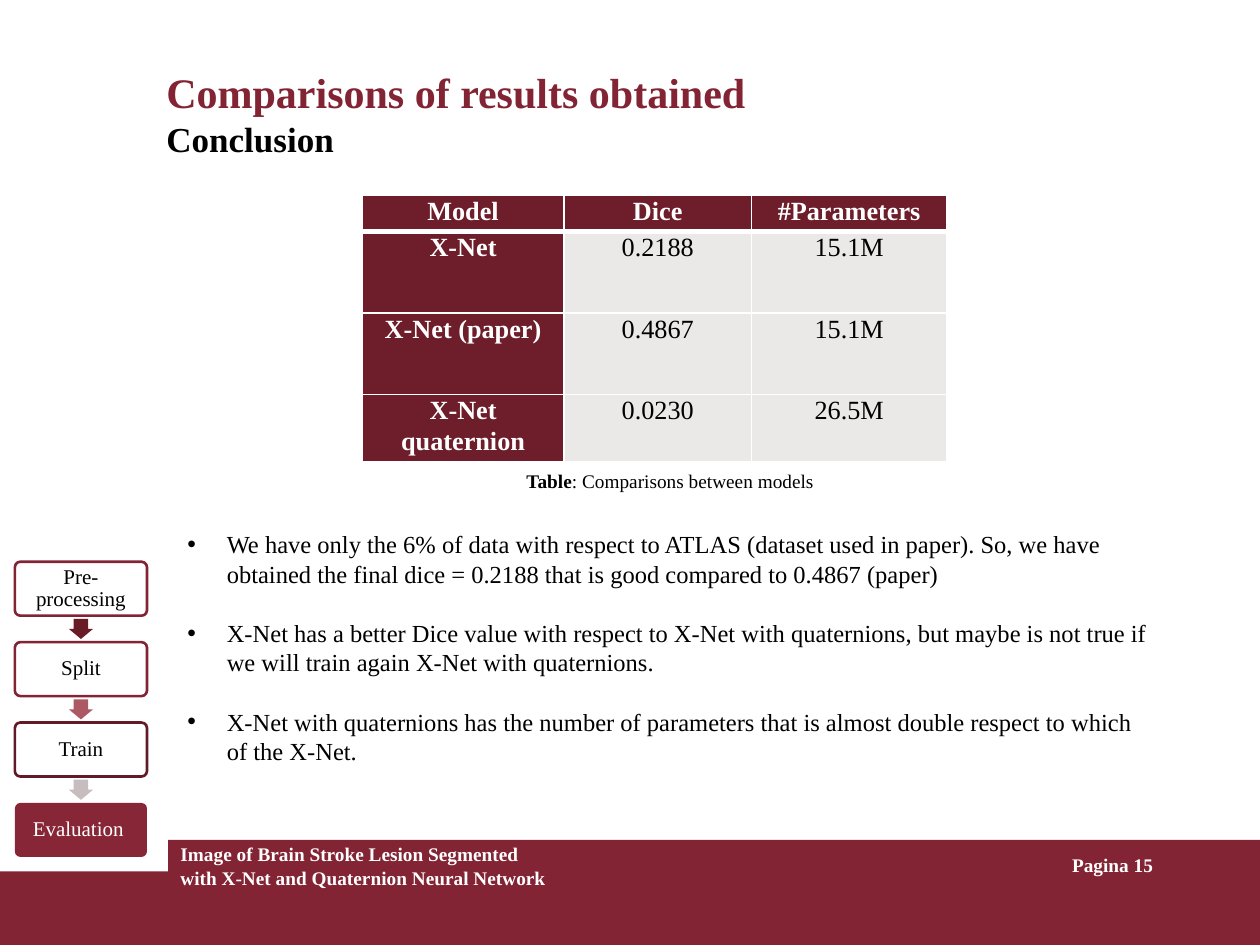
from dataclasses import dataclass
from typing import Optional

from lxml import etree
from pptx import Presentation
from pptx.dml.color import RGBColor
from pptx.enum.shapes import MSO_SHAPE
from pptx.enum.text import MSO_ANCHOR, PP_ALIGN
from pptx.oxml.ns import qn
from pptx.util import Pt

RECT, ROUNDED, ARROW = MSO_SHAPE.RECTANGLE, MSO_SHAPE.ROUNDED_RECTANGLE, MSO_SHAPE.RIGHT_ARROW
LEFT, CENTER, RIGHT = PP_ALIGN.LEFT, PP_ALIGN.CENTER, PP_ALIGN.RIGHT
TOP, MIDDLE = MSO_ANCHOR.TOP, MSO_ANCHOR.MIDDLE

FONT = "Times New Roman"
WHITE = RGBColor(0xFF, 0xFF, 0xFF)
BLACK = RGBColor(0x00, 0x00, 0x00)
MAROON = RGBColor(0x82, 0x24, 0x33)
TABLE_MAROON = RGBColor(0x6E, 0x1D, 0x2A)
TABLE_GREY = RGBColor(0xEB, 0xE8, 0xE8)
TRAIN_LINE = RGBColor(0x61, 0x1B, 0x26)
ACTIVE_STEP = RGBColor(0x87, 0x26, 0x36)
ARROW_DARK = RGBColor(0x69, 0x1C, 0x28)
ARROW_ROSE = RGBColor(0xAC, 0x59, 0x63)
ARROW_PALE = RGBColor(0xC8, 0xBD, 0xBE)


@dataclass
class Box:
    left: float
    top: float
    width: float
    height: float

    def lengths(self) -> tuple:
        return Pt(self.left), Pt(self.top), Pt(self.width), Pt(self.height)


@dataclass
class Step:
    label: str
    fill: RGBColor
    line: Optional[RGBColor]
    text_color: RGBColor
    arrow: Optional[RGBColor]


STEPS = [
    Step("Pre-processing", WHITE, MAROON, BLACK, ARROW_DARK),
    Step("Split", WHITE, MAROON, BLACK, ARROW_ROSE),
    Step("Train", WHITE, TRAIN_LINE, BLACK, ARROW_PALE),
    Step("Evaluation ", ACTIVE_STEP, None, WHITE, None),
]
RESULTS = [
    ("Model", "Dice", "#Parameters"),
    ("X-Net", "0.2188", "15.1M"),
    ("X-Net (paper)", "0.4867", "15.1M"),
    ("X-Net quaternion", "0.0230", "26.5M"),
]
COLUMN_WIDTHS = (115.2, 107.3, 111.5)
ROW_HEIGHTS = (20.9, 46.5, 46.5, 37.7)
CONCLUSIONS = [
    "We have only the 6% of data with respect to ATLAS (dataset used in paper). "
    "So, we have obtained the final dice = 0.2188 that is good compared to 0.4867 (paper)",
    "X-Net has a better Dice value with respect to X-Net with quaternions, "
    "but maybe is not true if we will train again X-Net with quaternions.",
    "X-Net with quaternions has the number of parameters that is almost double "
    "respect to which of the X-Net.",
]


def write(paragraph, text: str, *, size: float, color: RGBColor = BLACK, bold: bool = False,
          align=LEFT, spacing: Optional[float] = None, after: Optional[float] = None) -> None:
    """Append a formatted run to the paragraph."""
    paragraph.alignment = align
    if spacing is not None:
        paragraph.line_spacing = spacing
    if after is not None:
        paragraph.space_after = Pt(after)
    run = paragraph.add_run()
    run.text = text
    run.font.name, run.font.size, run.font.bold = FONT, Pt(size), bold
    run.font.color.rgb = color


def add_text_frame(slide, box: Box, *, anchor=TOP, inset: Optional[float] = None):
    frame = slide.shapes.add_textbox(*box.lengths()).text_frame
    frame.word_wrap = True
    frame.vertical_anchor = anchor
    if inset is not None:
        frame.margin_left = frame.margin_right = Pt(inset)
        frame.margin_top = frame.margin_bottom = Pt(inset)
    return frame


def add_label(slide, box: Box, text: str, *, anchor=TOP, inset: Optional[float] = None,
              **text_format) -> None:
    frame = add_text_frame(slide, box, anchor=anchor, inset=inset)
    write(frame.paragraphs[0], text, **text_format)


def add_block(slide, kind, box: Box, fill: RGBColor, line: Optional[RGBColor] = None):
    block = slide.shapes.add_shape(kind, *box.lengths())
    block.shadow.inherit = False
    block.fill.solid()
    block.fill.fore_color.rgb = fill
    if line is None:
        block.line.fill.background()
    else:
        block.line.color.rgb = line
        block.line.width = Pt(1.5)
    return block


def add_bullet(paragraph, indent: float) -> None:
    properties = paragraph._p.get_or_add_pPr()
    properties.set("marL", str(Pt(indent)))
    properties.set("indent", str(-Pt(indent)))
    etree.SubElement(properties, qn("a:buFont"), typeface="Arial")
    etree.SubElement(properties, qn("a:buChar"), char="•")


def set_borders(cell, bottom: float) -> None:
    properties = cell._tc.get_or_add_tcPr()
    widths = {"a:lnL": 1, "a:lnR": 1, "a:lnT": 1, "a:lnB": bottom}
    for position, (side, width) in enumerate(widths.items()):
        border = etree.Element(qn(side), w=str(Pt(width)))
        fill = etree.SubElement(border, qn("a:solidFill"))
        etree.SubElement(fill, qn("a:srgbClr"), val=str(WHITE))
        properties.insert(position, border)


def add_results_table(slide, box: Box) -> None:
    table = slide.shapes.add_table(len(RESULTS), len(COLUMN_WIDTHS), *box.lengths()).table
    table.first_row = table.horz_banding = False
    for column, width in zip(table.columns, COLUMN_WIDTHS):
        column.width = Pt(width)
    for row, height in zip(table.rows, ROW_HEIGHTS):
        row.height = Pt(height)
    for r, values in enumerate(RESULTS):
        for c, value in enumerate(values):
            cell = table.cell(r, c)
            heading = r == 0 or c == 0
            cell.margin_left = cell.margin_right = Pt(5)
            cell.margin_top = cell.margin_bottom = Pt(0)
            cell.fill.solid()
            cell.fill.fore_color.rgb = TABLE_MAROON if heading else TABLE_GREY
            set_borders(cell, bottom=3 if r == 0 else 1)
            write(cell.text_frame.paragraphs[0], value, size=15, bold=heading, align=CENTER,
                  color=WHITE if heading else BLACK, spacing=1.07, after=8)


def add_step(slide, step: Step, top: float) -> None:
    block = add_block(slide, ROUNDED, Box(8.5, top, 75.5, 30.8), step.fill, step.line)
    block.adjustments[0] = 0.1
    add_label(slide, Box(9.5, top + 0.9, 73.5, 29), step.label, anchor=MIDDLE, inset=3.6,
              size=12, color=step.text_color, align=CENTER, spacing=0.9)
    if step.arrow is not None:
        arrow = add_block(slide, ARROW, Box(40.5, top + 31.5, 11.5, 13.8), step.arrow)
        arrow.rotation = 90
        arrow.adjustments[0], arrow.adjustments[1] = 0.6, 0.5


def main() -> None:
    deck = Presentation()
    deck.slide_width, deck.slide_height = Pt(720), Pt(540)
    slide = deck.slides.add_slide(deck.slide_layouts[6])

    # Footer band
    add_block(slide, RECT, Box(0, 498, 720, 42), MAROON)
    add_block(slide, RECT, Box(96, 480, 624, 60), MAROON)
    add_label(slide, Box(96, 478, 228, 36),
              "Image of Brain Stroke Lesion Segmented with X-Net and Quaternion Neural Network",
              size=11, color=WHITE, bold=True)
    add_label(slide, Box(516, 484, 150, 36), "Pagina 15",
              size=11, color=WHITE, bold=True, align=RIGHT)

    # Headings
    add_label(slide, Box(88, 32.4, 595, 39.6), "Comparisons of results obtained",
              anchor=MIDDLE, size=24, color=MAROON, bold=True)
    add_label(slide, Box(88, 63.5, 583, 31.5), "Conclusion", size=20, bold=True)

    # Results table and caption
    add_results_table(slide, Box(207, 111.5, sum(COLUMN_WIDTHS), sum(ROW_HEIGHTS)))
    caption = add_text_frame(slide, Box(264, 264.5, 238, 31.5)).paragraphs[0]
    write(caption, "Table", size=11, bold=True, align=CENTER)
    write(caption, ": Comparisons between models", size=11, align=CENTER)

    # Workflow steps
    for index, step in enumerate(STEPS):
        add_step(slide, step, 321 + index * 45.95)

    # Conclusions
    conclusions = add_text_frame(slide, Box(100, 299, 566, 158))
    for index, conclusion in enumerate(CONCLUSIONS):
        paragraph = conclusions.add_paragraph() if index else conclusions.paragraphs[0]
        add_bullet(paragraph, 22.5)
        write(paragraph, conclusion, size=14, after=17)

    deck.save("out.pptx")


if __name__ == "__main__":
    main()
